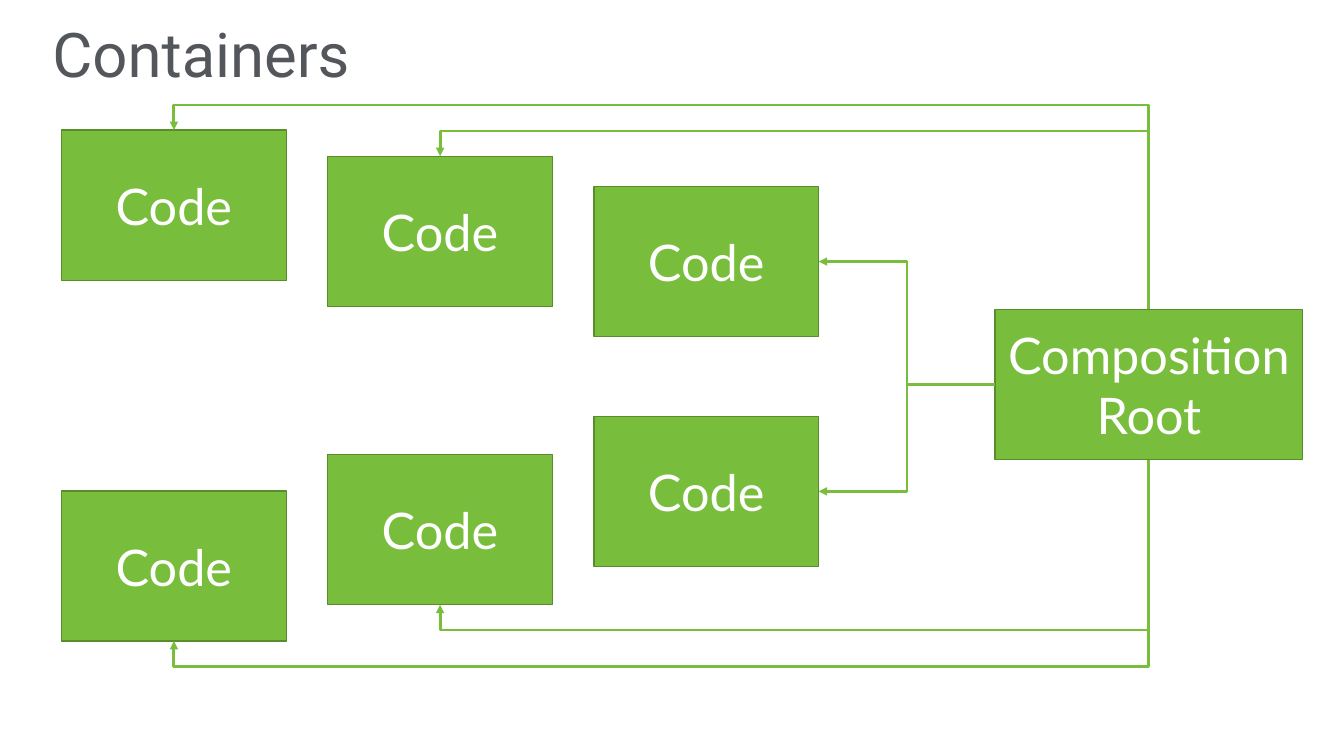
import pptx
import pptx.dml.color
import pptx.enum.shapes
import pptx.enum.text
import pptx.oxml
import pptx.util
from pptx.util import Inches

COLORS = {
    "heading": "53565A",
    "green": "78BE3C",
    "border": "598D2C",
    "label": "FFFFFF",
}

HEADING_FONT = {"name": "Roboto", "size": pptx.util.Pt(44)}
LABEL_FONT = {"name": "Lato", "size": pptx.util.Pt(36)}
HEADING_PLACE = {"left": Inches(0.42), "top": Inches(0.28),
                 "width": Inches(12.49), "height": Inches(0.59)}
MIDDLE_FRAME = {"word_wrap": True,
                "auto_size": pptx.enum.text.MSO_AUTO_SIZE.NONE,
                "vertical_anchor": pptx.enum.text.MSO_ANCHOR.MIDDLE}

CODE_LEFT, CODE_STEP, CODE_WIDTH = 0.61, 2.64, 2.23
BOX_HEIGHT = 1.49
UPPER_TOPS = [1.29, 1.55, 1.85]
LOWER_TOPS = [4.87, 4.51, 4.13]
ROUTE_GAP = Inches(0.25)

# Connection sites of a rectangle
TOP, LEFT, BOTTOM, RIGHT = range(4)


def rgb(key):
    return pptx.dml.color.RGBColor.from_string(COLORS[key])


def apply_format(target, values):
    for attribute, value in values.items():
        setattr(target, attribute, value)


def write_text(frame, wording, font, color, alignment):
    frame.text = wording
    apply_format(frame, MIDDLE_FRAME)
    paragraph = frame.paragraphs[0]
    paragraph.alignment = alignment
    label_font = paragraph.runs[0].font
    apply_format(label_font, font)
    label_font.color.rgb = rgb(color)
    return paragraph


def add_heading(slide, wording):
    heading = slide.shapes.title
    apply_format(heading, HEADING_PLACE)
    paragraph = write_text(heading.text_frame, wording, HEADING_FONT,
                           "heading", pptx.enum.text.PP_ALIGN.LEFT)
    paragraph.line_spacing = 0.9


def add_box(slide, wording, left, top, width):
    box = slide.shapes.add_shape(
        pptx.enum.shapes.MSO_SHAPE.RECTANGLE,
        Inches(left), Inches(top), Inches(width), Inches(BOX_HEIGHT))
    box.shadow.inherit = False
    box.fill.solid()
    box.fill.fore_color.rgb = rgb("green")
    box.line.color.rgb = rgb("border")
    box.line.width = pptx.util.Pt(1)
    write_text(box.text_frame, wording, LABEL_FONT, "label",
               pptx.enum.text.PP_ALIGN.CENTER)
    return box


def site_point(box, site):
    return {
        TOP: (box.left + box.width // 2, box.top),
        LEFT: (box.left, box.top + box.height // 2),
        BOTTOM: (box.left + box.width // 2, box.top + box.height),
        RIGHT: (box.left + box.width, box.top + box.height // 2),
    }[site]


def add_elbow_arrow(slide, root, root_site, code, code_site):
    x1, y1 = site_point(root, root_site)
    x2, y2 = site_point(code, code_site)
    width, height = abs(x2 - x1), abs(y2 - y1)

    # Sideways routes bend halfway, others run past the code box
    if root_site == LEFT:
        rotation, flipped, bend = 180, y2 > y1, 0.5
    else:
        width, height = height, width
        flipped = root_site == TOP
        rotation = 270 if flipped else 90
        bend = 1 + ROUTE_GAP / width

    arrow = slide.shapes.add_connector(
        pptx.enum.shapes.MSO_CONNECTOR.ELBOW, x1, y1, x2, y2)
    arrow.begin_connect(root, root_site)
    arrow.end_connect(code, code_site)
    apply_format(arrow, {"left": (x1 + x2 - width) // 2,
                         "top": (y1 + y2 - height) // 2,
                         "width": width, "height": height})
    arrow.line.color.rgb = rgb("green")
    arrow.line.width = pptx.util.Pt(2)

    # Turn, bend position, arrowhead and no shadow
    properties = arrow._element.spPr
    apply_format(properties.xfrm, {"rot": rotation, "flipH": False,
                                   "flipV": flipped})
    ns = pptx.oxml.ns.nsdecls("a")
    guides = properties.prstGeom.get_or_add_avLst()
    guides.append(pptx.oxml.parse_xml(
        f'<a:gd {ns} name="adj1" fmla="val {round(bend * 100000)}"/>'))
    arrow.line._get_or_add_ln().append(
        pptx.oxml.parse_xml(f'<a:tailEnd {ns} type="triangle"/>'))
    properties.append(pptx.oxml.parse_xml(f'<a:effectLst {ns}/>'))


def main():
    deck = pptx.Presentation()
    apply_format(deck, {"slide_width": Inches(13.33),
                        "slide_height": Inches(7.5)})
    slide = deck.slides.add_slide(deck.slide_layouts[5])
    add_heading(slide, "Containers")

    composition_root = add_box(slide, "Composition Root", 9.87, 3.07, 3.05)

    # Two rows of code boxes, each wired to the composition root
    for tops, outer_site in ((UPPER_TOPS, TOP), (LOWER_TOPS, BOTTOM)):
        for column, top in enumerate(tops):
            code = add_box(slide, "Code", CODE_LEFT + column * CODE_STEP,
                           top, CODE_WIDTH)
            innermost = column == len(tops) - 1
            root_site = LEFT if innermost else outer_site
            code_site = RIGHT if innermost else outer_site
            add_elbow_arrow(slide, composition_root, root_site,
                            code, code_site)

    deck.save("out.pptx")


if __name__ == "__main__":
    main()
